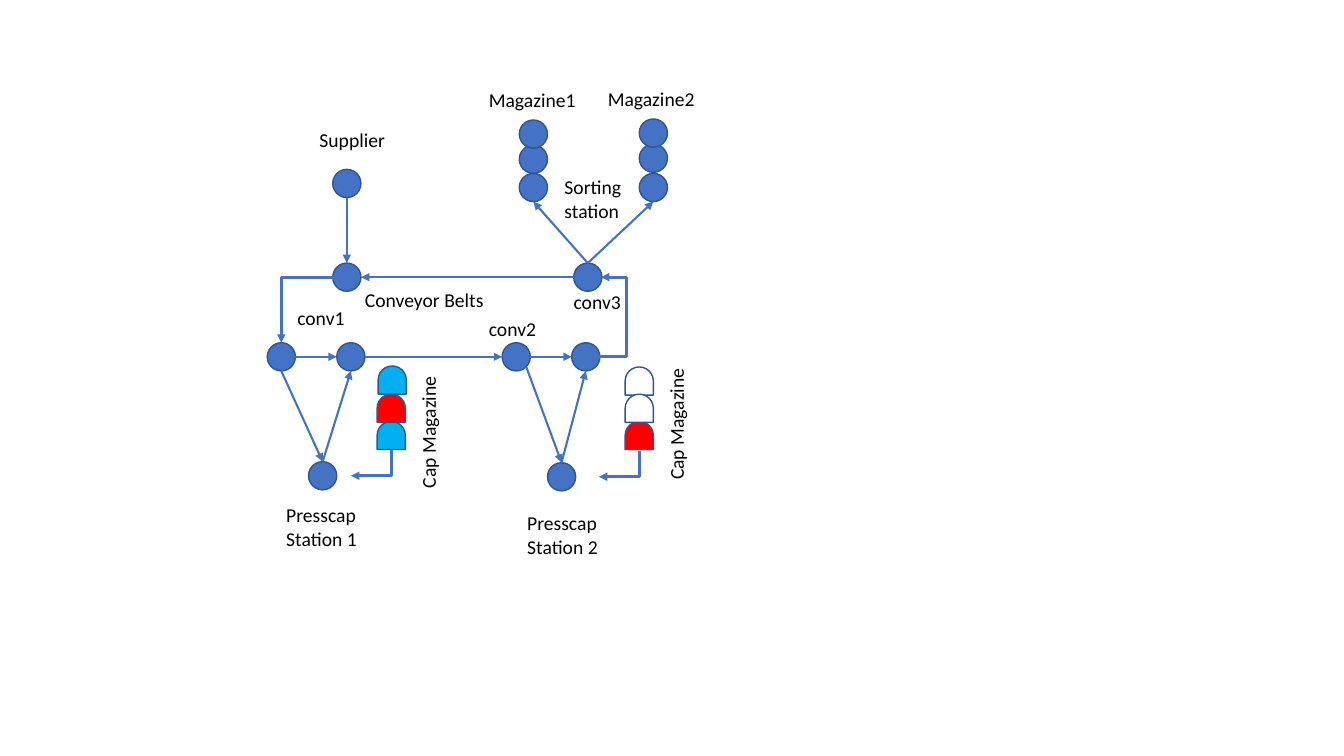
from dataclasses import dataclass

from lxml.etree import SubElement
from pptx import Presentation
from pptx.dml.color import RGBColor
from pptx.enum.shapes import MSO_CONNECTOR, MSO_SHAPE
from pptx.enum.text import MSO_AUTO_SIZE
from pptx.oxml.ns import qn
from pptx.util import Inches, Pt

BLUE = RGBColor(0x44, 0x72, 0xC4)
OUTLINE = RGBColor(0x32, 0x54, 0x91)
SKY = RGBColor(0x00, 0xB0, 0xF0)
RED = RGBColor(0xFF, 0x00, 0x00)
WHITE = RGBColor(0xFF, 0xFF, 0xFF)
BLACK = RGBColor(0x00, 0x00, 0x00)
SIZE = 0.28

Point = tuple[float, float]


@dataclass(frozen=True)
class Node:
    """A round station, with the points where arrows meet it."""
    left: float
    top: float

    @property
    def north(self) -> Point:
        return self.left + SIZE / 2, self.top

    @property
    def south(self) -> Point:
        return self.left + SIZE / 2, self.top + SIZE

    @property
    def west(self) -> Point:
        return self.left, self.top + SIZE / 2

    @property
    def east(self) -> Point:
        return self.left + SIZE, self.top + SIZE / 2


@dataclass(frozen=True)
class Cap:
    """One cap in a cap magazine."""
    left: float
    top: float
    color: RGBColor


@dataclass(frozen=True)
class Label:
    """A caption and its box."""
    text: str
    left: float
    top: float
    width: float
    height: float = 0.34
    rotation: float = 0


@dataclass(frozen=True)
class Elbow:
    """An elbow arrow: its unrotated frame, turn and optional bend."""
    left: float
    top: float
    width: float
    height: float
    rotation: int = 0
    flipped: bool = False
    bend: float | None = None


def draw_part(slide, preset, left: float, top: float, color: RGBColor, rotation: float = 0) -> None:
    """Draw one outlined station or cap."""
    part = slide.shapes.add_shape(preset, Inches(left), Inches(top), Inches(SIZE), Inches(SIZE))
    part.rotation = rotation
    part.shadow.inherit = False
    part.fill.solid()
    part.fill.fore_color.rgb = color
    part.line.color.rgb = OUTLINE
    part.line.width = Pt(1)


def draw_arrow(slide, kind, start: Point, end: Point, weight: float):
    """Draw a connector with a triangle at its end and return it."""
    arrow = slide.shapes.add_connector(kind, *map(Inches, start + end))
    arrow.line.color.rgb = BLUE
    arrow.line.width = Pt(weight)
    SubElement(arrow.line._get_or_add_ln(), qn("a:tailEnd"), type="triangle")
    SubElement(arrow._element.spPr, qn("a:effectLst"))
    return arrow


def draw_elbow(slide, elbow: Elbow) -> None:
    """Draw an elbow with one corner, or with two when a bend is given."""
    end = elbow.left + elbow.width, elbow.top + elbow.height
    arrow = draw_arrow(slide, MSO_CONNECTOR.ELBOW, (elbow.left, elbow.top), end, 2)
    properties = arrow._element.spPr
    frame = properties.find(qn("a:xfrm"))
    frame.set("rot", str(elbow.rotation * 60000))
    if elbow.flipped:
        frame.set("flipV", "1")
    geometry = properties.find(qn("a:prstGeom"))
    if elbow.bend is None:
        geometry.set("prst", "bentConnector2")
    else:
        guide = f"val {round(elbow.bend / elbow.width * 100000)}"
        SubElement(geometry.find(qn("a:avLst")), qn("a:gd"), name="adj1", fmla=guide)


def draw_label(slide, label: Label) -> None:
    """Write a caption that does not wrap."""
    box = slide.shapes.add_textbox(*map(Inches, (label.left, label.top, label.width, label.height)))
    box.rotation = label.rotation
    frame = box.text_frame
    frame.text = label.text
    frame.word_wrap = False
    frame.auto_size = MSO_AUTO_SIZE.SHAPE_TO_FIT_TEXT
    for paragraph in frame.paragraphs:
        for run in paragraph.runs:
            run.font.name = "Calibri"
            run.font.size = Pt(14)
            run.font.color.rgb = BLACK


supplier = Node(3.3, 1.68)
belt_start, conv3 = Node(3.3, 2.61), Node(5.69, 2.61)
conv1_in, conv1_out, conv2_in, conv2_out = (Node(left, 3.4) for left in (2.65, 3.34, 4.98, 5.67))
presscap1, presscap2 = Node(3.06, 4.58), Node(5.43, 4.59)
magazine1 = [Node(5.15, top) for top in (1.72, 1.44, 1.19)]
magazine2 = [Node(6.34, top) for top in (1.72, 1.43, 1.18)]
nodes = [supplier, belt_start, conv3, conv1_in, conv1_out, conv2_in, conv2_out,
         presscap1, presscap2, *magazine1, *magazine2]

flows = [
    (supplier.south, belt_start.north),
    (conv3.west, belt_start.east),
    (conv3.north, magazine1[0].south),
    (conv3.north, magazine2[0].south),
    (conv1_in.east, conv1_out.west),
    (conv1_out.east, conv2_in.west),
    (conv2_in.east, conv2_out.west),
    (conv1_in.south, presscap1.north),
    (presscap1.north, conv1_out.south),
    ((5.22, 3.64), presscap2.north),
    (presscap2.north, conv2_out.south),
]

elbows = [
    Elbow(2.79, 2.75, 0.52, 0.65, rotation=180, flipped=True),
    Elbow(5.94, 2.75, 0.02, 0.79, flipped=True, bend=0.27),
    Elbow(3.55, 4.39, 0.26, 0.4, rotation=90),
    Elbow(6.01, 4.4, 0.26, 0.4, rotation=90),
]

caps = [
    Cap(3.74, 4.18, SKY), Cap(3.74, 3.91, RED), Cap(3.75, 3.63, SKY),
    Cap(6.2, 4.18, RED), Cap(6.2, 3.64, WHITE), Cap(6.2, 3.91, WHITE),
]

labels = [
    Label("Supplier", 3.07, 1.22, 0.86),
    Label("Magazine1", 4.75, 0.82, 1.07),
    Label("Magazine2", 5.93, 0.81, 1.07),
    Label("Sorting\nstation", 5.5, 1.69, 0.77, 0.57),
    Label("Conveyor Belts", 3.52, 2.81, 1.39),
    Label("conv1", 2.85, 2.99, 0.68),
    Label("conv2", 4.75, 3.09, 0.68),
    Label("conv3", 5.59, 2.83, 0.68),
    Label("Presscap\nStation 1", 2.74, 4.94, 0.91, 0.57),
    Label("Presscap\nStation 2", 5.13, 5.02, 0.91, 0.57),
    Label("Cap Magazine", 3.59, 4.11, 1.32, rotation=270),
    Label("Cap Magazine", 6.05, 4.03, 1.32, rotation=270),
]

presentation = Presentation()
presentation.slide_width = Inches(13.33)
presentation.slide_height = Inches(7.5)
plant = presentation.slides.add_slide(presentation.slide_layouts[6])

for node in nodes:
    draw_part(plant, MSO_SHAPE.OVAL, node.left, node.top, BLUE)
for start, end in flows:
    draw_arrow(plant, MSO_CONNECTOR.STRAIGHT, start, end, 1.5)
for cap in caps:
    draw_part(plant, MSO_SHAPE.FLOWCHART_DELAY, cap.left, cap.top, cap.color, rotation=270)
for elbow in elbows:
    draw_elbow(plant, elbow)
for label in labels:
    draw_label(plant, label)

presentation.save("out.pptx")
